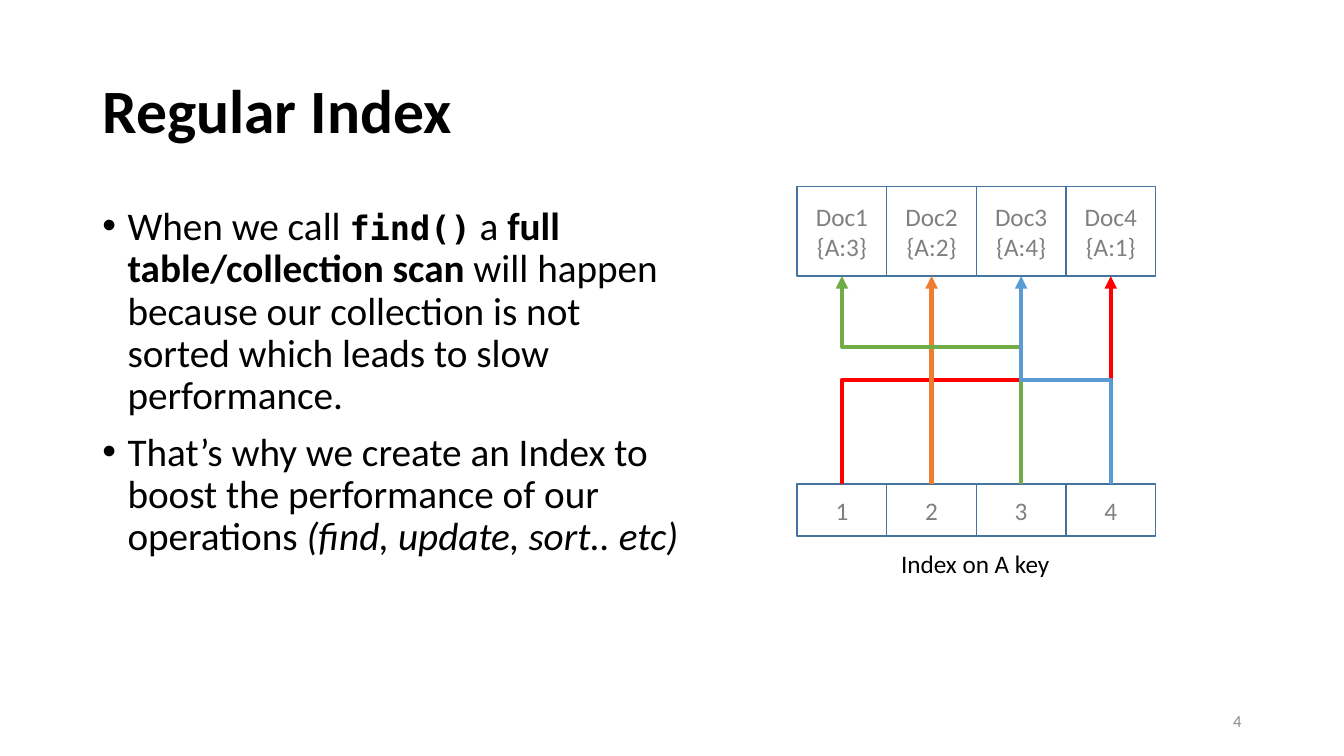
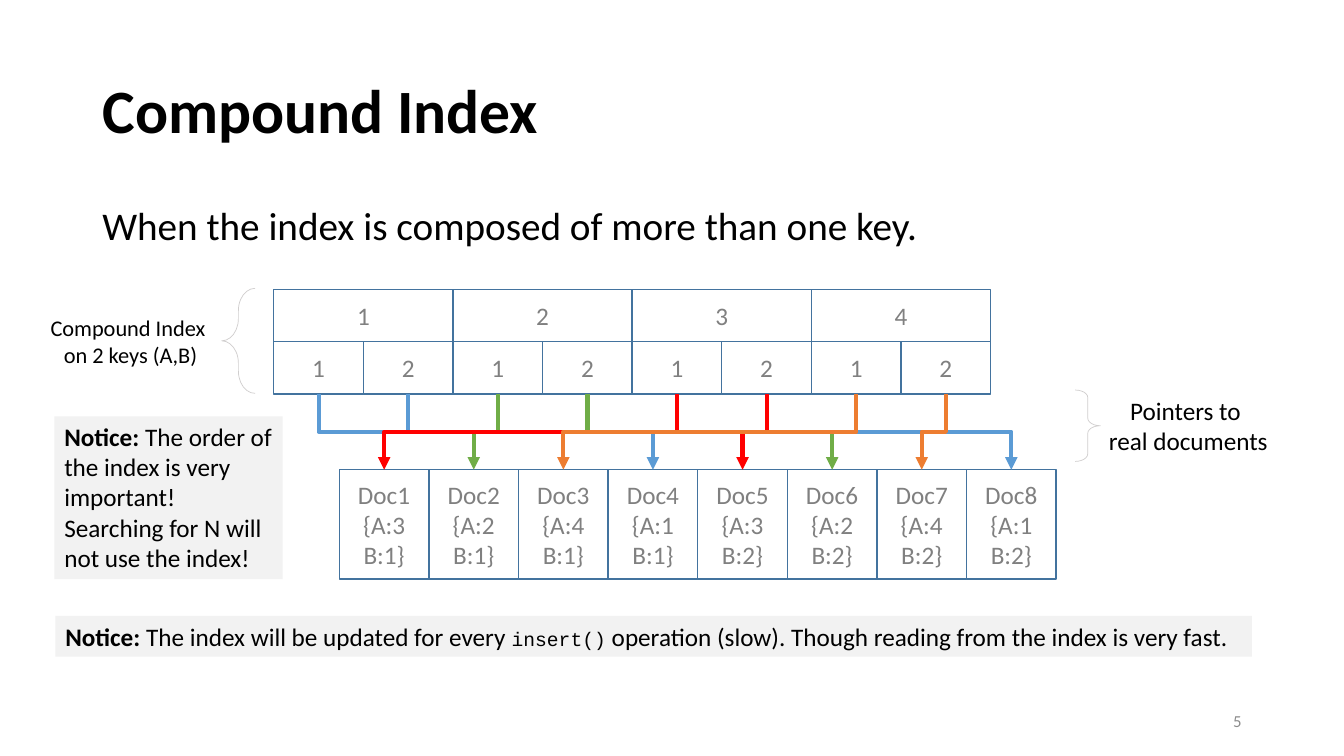
from lxml import etree
from pptx import Presentation
from pptx.dml.color import RGBColor
from pptx.enum.shapes import MSO_CONNECTOR, MSO_SHAPE
from pptx.enum.text import MSO_ANCHOR, MSO_AUTO_SIZE, PP_ALIGN
from pptx.oxml.ns import qn
from pptx.util import Pt

LEFT, MID, RIGHT = PP_ALIGN.LEFT, PP_ALIGN.CENTER, PP_ALIGN.RIGHT
TOP, MIDDLE = MSO_ANCHOR.TOP, MSO_ANCHOR.MIDDLE
FIXED, GROW = MSO_AUTO_SIZE.NONE, MSO_AUTO_SIZE.SHAPE_TO_FIT_TEXT
RECT = MSO_SHAPE.RECTANGLE
L_BRACE, R_BRACE = MSO_SHAPE.LEFT_BRACE, MSO_SHAPE.RIGHT_BRACE
ELBOW = MSO_CONNECTOR.ELBOW

FONT = "Calibri"
BLACK, GRAY, PALE = "000000", "808080", "F2F2F2"
EDGE, BRACE, FOOT = "43739E", "D0CECE", "8C8C8C"
RED, ORANGE, GREEN, BLUE = "FF0000", "ED7D31", "70AD47", "5B9BD5"

# A paragraph is a list of runs; a run is plain text or (text, font changes).
BOLD, ITALIC = {"bold": True}, {"italic": True}
CODE = {"name": "DejaVu Sans Mono", "size": Pt(24), "bold": True}
CALL = {"name": "Courier New", "size": Pt(14)}

POINTS = [
    ["When we call ", ("find()", CODE), " a ",
     ("full table/collection scan", BOLD),
     " will happen because our collection is not sorted which leads to "
     "slow performance."],
    ["That’s why we create an Index to boost the performance of our "
     "operations ", ("(find, update, sort.. etc)", ITALIC)],
]
LEAD = [["When the index is composed of more than one key."]]
ORDER = [[("Notice: ", BOLD), "The order of the index is very important! "
          "Searching for N will not use the index!"]]
COST = [[("Notice: ", BOLD), "The index will be updated for every ",
         ("insert()", CALL),
         " operation (slow). Though reading from the index is very fast."]]

# Key values of each document, in stored order, and arrow colour by A.
SINGLE = [(3,), (2,), (4,), (1,)]
DOUBLE = [(a, b) for b in (1, 2) for a in (3, 2, 4, 1)]
ONE_HUES = {1: RED, 2: ORANGE, 3: GREEN, 4: BLUE}
TWO_HUES = {1: BLUE, 2: GREEN, 3: RED, 4: ORANGE}
BENDS = {(3,): 0.66}

CELL, KEY_H = 64, 37.4


def tint(code):
    """Turn a hex string into a colour."""
    return RGBColor.from_string(code)


def style(font, size, color):
    """Set the base font."""
    font.name, font.size = FONT, Pt(size)
    font.color.rgb = tint(color)


def write(shape, paras, size, color=BLACK, align=LEFT, anchor=TOP,
          wrap=True, fit=FIXED, body=False, dots=False):
    """Fill a shape with paragraphs of runs."""
    frame = shape.text_frame
    frame.word_wrap, frame.auto_size = wrap, fit
    frame.vertical_anchor = anchor
    for n, runs in enumerate(paras):
        para = frame.add_paragraph() if n else frame.paragraphs[0]
        para.alignment = align
        if dots:
            props = para._p.get_or_add_pPr()
            props.set("marL", str(Pt(18)))
            props.set("indent", str(-Pt(18)))
            etree.SubElement(props, qn("a:buFont"), typeface="Arial")
            etree.SubElement(props, qn("a:buChar"), char="•")
        if body:
            para.line_spacing, para.space_before = 0.9, Pt(10)
        style(para.font, size, color)
        for part in runs:
            text, looks = (part, {}) if isinstance(part, str) else part
            run = para.add_run()
            run.text = text
            for name, value in looks.items():
                setattr(run.font, name, value)


def label(slide, box, paras, size, fill=None, **more):
    """Add a text box, with a fill if one is given."""
    shape = slide.shapes.add_textbox(*map(Pt, box))
    if fill:
        shape.fill.solid()
        shape.fill.fore_color.rgb = tint(fill)
    write(shape, paras, size, **more)


def outline(slide, kind, box, color, width):
    """Add an unfilled shape."""
    shape = slide.shapes.add_shape(kind, *map(Pt, box))
    shape.shadow.inherit = False
    shape.fill.background()
    shape.line.color.rgb, shape.line.width = tint(color), Pt(width)
    return shape


def row(slide, x, y, wide, high, texts):
    """Add a row of touching cells, each with its lines of text."""
    for n, lines in enumerate(texts):
        cell = outline(slide, RECT, (x + n * wide, y, wide, high), EDGE, 1)
        write(cell, [[line] for line in lines], 18, GRAY, MID, MIDDLE)


def brace(slide, kind, box, curve):
    """Add a thin brace."""
    outline(slide, kind, box, BRACE, 0.5).adjustments[0] = curve


def arrow(slide, x1, y1, x2, y2, color, bend):
    """Add an elbow arrow that leaves and arrives vertically."""
    right, up = x2 >= x1, y2 < y1
    midx, midy = (x1 + x2) / 2, (y1 + y2) / 2
    dx = abs(y2 - y1) / 2 * (1 if right else -1)
    dy = abs(x2 - x1) / 2 * (1 if up else -1)
    ends = midx + dx, midy + dy, midx - dx, midy - dy
    link = slide.shapes.add_connector(ELBOW, *map(Pt, ends))
    link.line.color.rgb, link.line.width = tint(color), Pt(3)
    props = link._element.spPr
    turn = 90 if right == up else 270
    props.find(qn("a:xfrm")).set("rot", str(turn * 60000))
    guides = props.find(qn("a:prstGeom")).get_or_add_avLst()
    etree.SubElement(guides, qn("a:gd"), name="adj1",
                     fmla=f"val {round(bend * 100000)}")
    etree.SubElement(props.find(qn("a:ln")), qn("a:tailEnd"), type="triangle")
    etree.SubElement(props, qn("a:effectLst"))


def link_up(slide, docs, keys_at, docs_at, hues):
    """Point each sorted key at the document that holds it."""
    for n, key in enumerate(sorted(docs)):
        goal = docs.index(key)
        arrow(slide, keys_at[0] + (n + 0.5) * CELL, keys_at[1],
              docs_at[0] + (goal + 0.5) * CELL, docs_at[1],
              hues[key[0]], BENDS.get(key, 0.5))


def start(deck, title, number):
    """Add a slide with its title and number."""
    slide = deck.slides.add_slide(deck.slide_layouts[5])
    head = slide.shapes.title
    head.left, head.top, head.width, head.height = map(
        Pt, (66, 28.8, 828, 104.4))
    write(head, [[(title, BOLD)]], 44, anchor=MIDDLE)
    head.text_frame.paragraphs[0].line_spacing = 0.9
    label(slide, (678, 500.5, 216, 28.8), [[str(number)]], 12,
          color=FOOT, align=RIGHT, anchor=MIDDLE)
    return slide


def regular(deck):
    """Build the slide on a single key."""
    slide = start(deck, "Regular Index", 4)
    label(slide, (66, 144, 428, 342.7), POINTS, 28, body=True, dots=True)
    x, top, base = 569.4, 133.2, 345.6
    row(slide, x, top, CELL, CELL,
        [(f"Doc{n}", f"{{A:{a}}}") for n, (a,) in enumerate(SINGLE, 1)])
    row(slide, x, base, CELL, KEY_H, [str(a) for (a,) in sorted(SINGLE)])
    link_up(slide, SINGLE, (x, base), (x, top + CELL), ONE_HUES)
    label(slide, (636.5, 388, 121.7, 28.8), [["Index on A key"]], 18,
          wrap=False, fit=GROW)


def compound(deck):
    """Build the slide on two keys."""
    slide = start(deck, "Compound Index", 5)
    label(slide, (66, 144, 828, 52.6), LEAD, 28, body=True)
    x, y = 195.6, 206.6
    docx, docy = 242.4, 335.5
    row(slide, docx, docy, CELL, 78,
        [(f"Doc{n}", f"{{A:{a}", f"B:{b}}}")
         for n, (a, b) in enumerate(DOUBLE, 1)])
    row(slide, x, y, 2 * CELL, KEY_H, "1234")
    row(slide, x, y + KEY_H, CELL, KEY_H, [str(b) for a, b in sorted(DOUBLE)])
    link_up(slide, DOUBLE, (x, y + 2 * KEY_H), (docx, docy), TWO_HUES)
    label(slide, (28.1, 221, 130.3, 46), [["Compound Index "],
          ["on 2 keys (A,B)"]], 16, align=MID, wrap=False, fit=GROW)
    label(slide, (784, 278.6, 129.6, 50.9), [["Pointers to "],
          ["real documents"]], 18, align=MID, wrap=False, fit=GROW)
    brace(slide, L_BRACE, (158.4, 206, 23.8, 75), 0.67)
    brace(slide, R_BRACE, (768, 278.6, 18, 51), 0.3)
    label(slide, (38.9, 297.4, 163, 116.4), ORDER, 18, PALE, fit=GROW)
    label(slide, (39.6, 440, 854.6, 29), COST, 18, PALE, fit=GROW)


deck = Presentation()
deck.slide_width, deck.slide_height = Pt(960), Pt(540)
regular(deck)
compound(deck)
deck.save("out.pptx")
